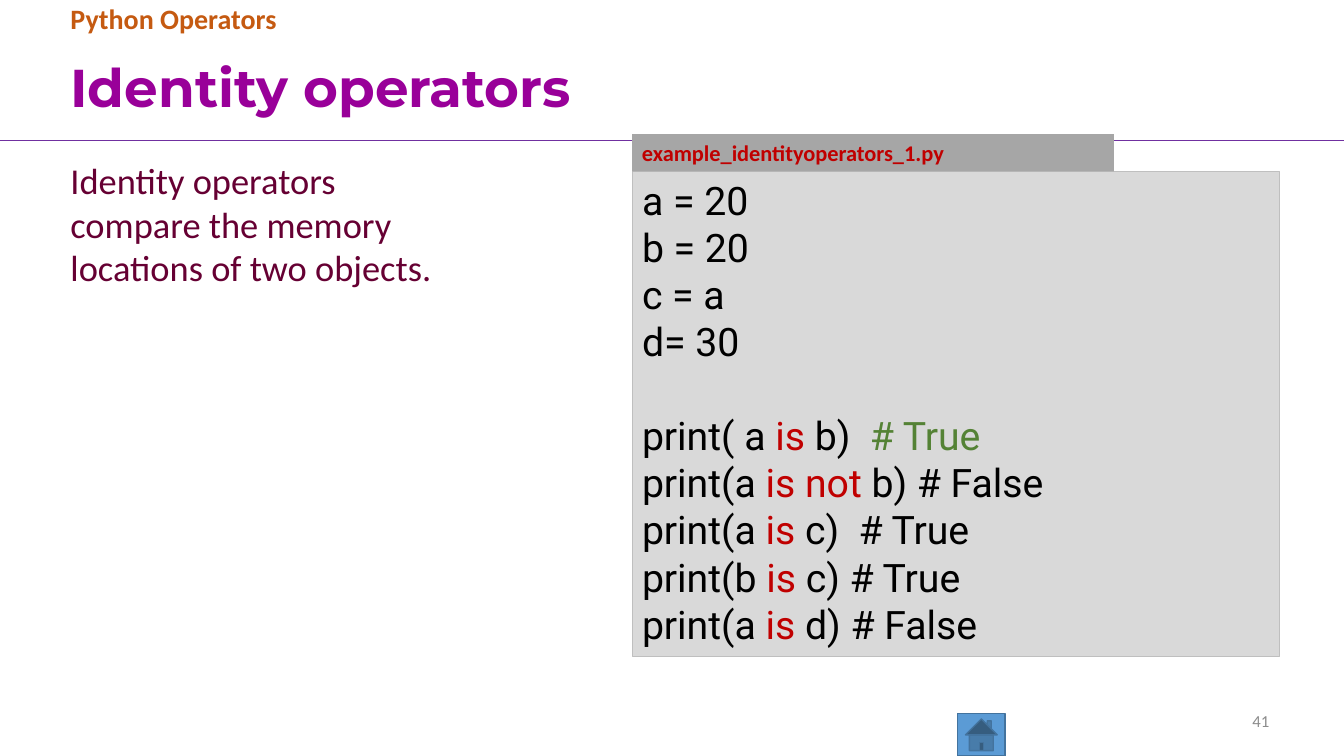
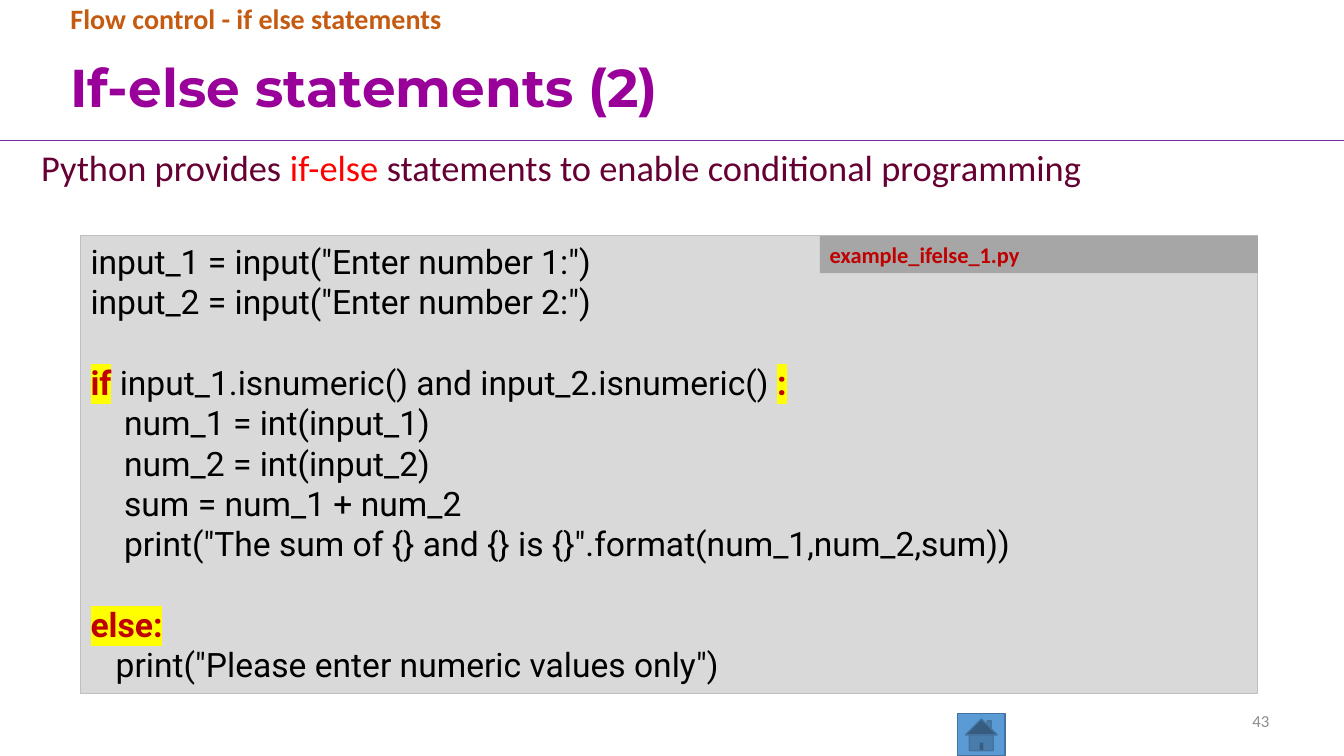
from dataclasses import dataclass
from typing import NamedTuple

from lxml import etree
from pptx import Presentation
from pptx.dml.color import RGBColor
from pptx.enum.shapes import MSO_CONNECTOR, MSO_SHAPE
from pptx.enum.text import MSO_ANCHOR, PP_ALIGN
from pptx.oxml.ns import qn
from pptx.util import Inches, Pt

RECTANGLE, HOME_BUTTON = MSO_SHAPE.RECTANGLE, MSO_SHAPE.ACTION_BUTTON_HOME
STRAIGHT = MSO_CONNECTOR.STRAIGHT
TOP, MIDDLE = MSO_ANCHOR.TOP, MSO_ANCHOR.MIDDLE
LEFT, RIGHT = PP_ALIGN.LEFT, PP_ALIGN.RIGHT

# Colours
BLACK = RGBColor(0x00, 0x00, 0x00)
PURPLE = RGBColor(0x99, 0x00, 0x99)
RULE_VIOLET = RGBColor(0x70, 0x30, 0xA0)
PLUM = RGBColor(0x66, 0x00, 0x33)
ORANGE = RGBColor(0xC5, 0x5A, 0x11)
RED = RGBColor(0xFF, 0x00, 0x00)
DARK_RED = RGBColor(0xC0, 0x00, 0x00)
GREEN = RGBColor(0x54, 0x82, 0x35)
YELLOW = RGBColor(0xFF, 0xFF, 0x00)
NUMBER_GREY = RGBColor(0x8C, 0x8C, 0x8C)
PANEL_GREY = RGBColor(0xD9, 0xD9, 0xD9)
PANEL_EDGE = RGBColor(0xBF, 0xBF, 0xBF)
TAG_GREY = RGBColor(0xA6, 0xA6, 0xA6)
BUTTON_BLUE = RGBColor(0x5B, 0x9B, 0xD5)
BUTTON_EDGE = RGBColor(0x43, 0x73, 0x9E)

SLIDE_WIDTH, SLIDE_HEIGHT = Inches(13.33), Inches(7.5)
CODE_LINE_HEIGHT = 1.2  # share of the font size
CODE_SPACE_WIDTH = 0.25  # share of the font size


class Box(NamedTuple):
    """Left, top, width and height in percent of the slide."""
    left: float
    top: float
    width: float
    height: float

    def lengths(self) -> tuple[int, ...]:
        sides = (SLIDE_WIDTH, SLIDE_HEIGHT) * 2
        return tuple(round(side * share / 100) for side, share in zip(sides, self))


class Run(NamedTuple):
    text: str
    color: RGBColor | None = None
    marked: bool = False


@dataclass(frozen=True)
class Line:
    runs: tuple[Run, ...]
    indent: int = 0  # in spaces
    gap: int = 0  # empty lines above


@dataclass(frozen=True)
class Lesson:
    topic: str
    title: str
    number: str
    intro: Line
    intro_box: Box
    code: tuple[Line, ...]
    code_size: int
    code_box: Box
    file_name: str
    tag_box: Box


# Parts that every slide shares
TITLE_BOX = Box(4.5, 5.47, 90.67, 12.93)
TOPIC_BOX = Box(4.5, 0, 77.55, 5.47)
NUMBER_BOX = Box(70.65, 92.67, 24.53, 5.33)
HOME_BOX = Box(71.25, 94.4, 3.53, 5.6)
RULE_TOP = 18.53

TITLE_FONT = {"name": "Montserrat", "size": Pt(38), "bold": True}
TOPIC_FONT = {"name": "Calibri", "size": Pt(20), "bold": True}
INTRO_FONT = {"name": "Calibri", "size": Pt(26), "bold": False}
TAG_FONT = {"name": "Calibri", "size": Pt(16), "bold": True}
NUMBER_FONT = {"name": "Calibri", "size": Pt(12), "bold": False}


def line(*parts: str | Run, indent: int = 0, gap: int = 0) -> Line:
    runs = tuple(part if isinstance(part, Run) else Run(part) for part in parts)
    return Line(runs, indent, gap)


def keyword(text: str) -> Run:
    return Run(text, DARK_RED)


def marked(text: str) -> Run:
    return Run(text, DARK_RED, True)


LESSONS = (
    Lesson(
        topic="Python Operators",
        title="Identity operators",
        number="41",
        intro=line("Identity operators compare the memory locations of two objects."),
        intro_box=Box(4.5, 20.27, 29.48, 18.8),
        code=(
            line("a = 20"),
            line("b = 20"),
            line("c = a"),
            line("d= 30"),
            line("print( a ", keyword("is"), " b)  ", Run("# True", GREEN), gap=1),
            line("print(a ", keyword("is not "), "b) # False"),
            line("print(a ", keyword("is"), " c)  # True"),
            line("print(b ", keyword("is "), "c) # True"),
            line("print(a ", keyword("is"), " d) # False"),
        ),
        code_size=28,
        code_box=Box(47.03, 22.67, 48.15, 64.13),
        file_name="example_identityoperators_1.py",
        tag_box=Box(47.03, 17.73, 35.85, 4.93),
    ),
    Lesson(
        topic="Flow control - if else statements",
        title="If-else statements (2)",
        number="43",
        intro=line("Python provides ", Run("if-else", RED),
                   " statements to enable conditional programming"),
        intro_box=Box(2.33, 18.53, 90, 7.2),
        code=(
            line('input_1 = input("Enter number 1:")'),
            line('input_2 = input("Enter number 2:")'),
            line(marked("if"), " input_1.isnumeric() and input_2.isnumeric() ",
                 marked(":"), gap=1),
            line("num_1 = int(input_1)", indent=4),
            line("num_2 = int(input_2)", indent=4),
            line("sum = num_1 + num_2", indent=4),
            line('print("The sum of {} and {} is {}".format(num_1,num_2,sum))', indent=4),
            line(marked("else:"), gap=1),
            line('print("Please enter numeric values only")', indent=3),
        ),
        code_size=24,
        code_box=Box(6, 31.2, 87.6, 60.53),
        file_name="example_ifelse_1.py",
        tag_box=Box(61, 31.2, 32.6, 4.93),
    ),
)


def highlight(run, color: RGBColor) -> None:
    """Mark a run whose colour is already set."""
    mark = etree.Element(qn("a:highlight"))
    etree.SubElement(mark, qn("a:srgbClr"), val=str(color))
    run.font.fill  # the solid fill comes before the highlight
    run._r.get_or_add_rPr().find(qn("a:solidFill")).addnext(mark)


def write(shape, lines: tuple[Line, ...], font: dict, color: RGBColor,
          anchor=TOP, align=LEFT, spacing: float = 1.0) -> None:
    frame = shape.text_frame
    frame.word_wrap = True
    frame.vertical_anchor = anchor
    for index, content in enumerate(lines):
        paragraph = frame.add_paragraph() if index else frame.paragraphs[0]
        layout = {"alignment": align, "line_spacing": spacing,
                  "space_before": round(font["size"] * CODE_LINE_HEIGHT * content.gap)}
        for name, value in layout.items():
            setattr(paragraph, name, value)
        if content.indent:
            margin = round(font["size"] * CODE_SPACE_WIDTH * content.indent)
            paragraph._p.get_or_add_pPr().set("marL", str(margin))
        for part in content.runs:
            run = paragraph.add_run()
            run.text = part.text
            for name, value in font.items():
                setattr(run.font, name, value)
            run.font.color.rgb = part.color or color
            if part.marked:
                run.font.bold = True
                highlight(run, YELLOW)


def add_text(slide, box: Box, content: Line, font: dict, color: RGBColor, **layout) -> None:
    write(slide.shapes.add_textbox(*box.lengths()), (content,), font, color, **layout)


def add_panel(slide, box: Box, fill: RGBColor, edge: RGBColor | None = None,
              edge_width: float = 0.75, kind=RECTANGLE):
    shape = slide.shapes.add_shape(kind, *box.lengths())
    shape.shadow.inherit = False
    shape.fill.solid()
    shape.fill.fore_color.rgb = fill
    if edge is None:
        shape.line.fill.background()
    else:
        shape.line.color.rgb = edge
        shape.line.width = Pt(edge_width)
    return shape


def add_frame(slide, lesson: Lesson) -> None:
    """Rule, home button, title, topic and slide number."""
    top = round(SLIDE_HEIGHT * RULE_TOP / 100)
    rule = slide.shapes.add_connector(STRAIGHT, 0, top, SLIDE_WIDTH, top)
    rule.line.color.rgb = RULE_VIOLET
    rule.line.width = Pt(0.5)
    etree.SubElement(rule._element.spPr, qn("a:effectLst"))
    add_panel(slide, HOME_BOX, BUTTON_BLUE, BUTTON_EDGE, 1, HOME_BUTTON)
    add_text(slide, TITLE_BOX, line(lesson.title), TITLE_FONT, PURPLE,
             anchor=MIDDLE, spacing=0.9)
    add_text(slide, TOPIC_BOX, line(lesson.topic), TOPIC_FONT, ORANGE, spacing=0.9)
    add_text(slide, NUMBER_BOX, line(lesson.number), NUMBER_FONT, NUMBER_GREY,
             anchor=MIDDLE, align=RIGHT)


def add_lesson(presentation, lesson: Lesson) -> None:
    slide = presentation.slides.add_slide(presentation.slide_layouts[6])
    add_frame(slide, lesson)
    add_text(slide, lesson.intro_box, lesson.intro, INTRO_FONT, PLUM)
    # Code panel with its file name tag
    code_font = {"name": "Roboto", "size": Pt(lesson.code_size), "bold": False}
    panel = add_panel(slide, lesson.code_box, PANEL_GREY, PANEL_EDGE)
    write(panel, lesson.code, code_font, BLACK)
    tag = add_panel(slide, lesson.tag_box, TAG_GREY)
    write(tag, (line(lesson.file_name),), TAG_FONT, DARK_RED)


def main() -> None:
    presentation = Presentation()
    presentation.slide_width, presentation.slide_height = SLIDE_WIDTH, SLIDE_HEIGHT
    for lesson in LESSONS:
        add_lesson(presentation, lesson)
    presentation.save("out.pptx")


if __name__ == "__main__":
    main()
